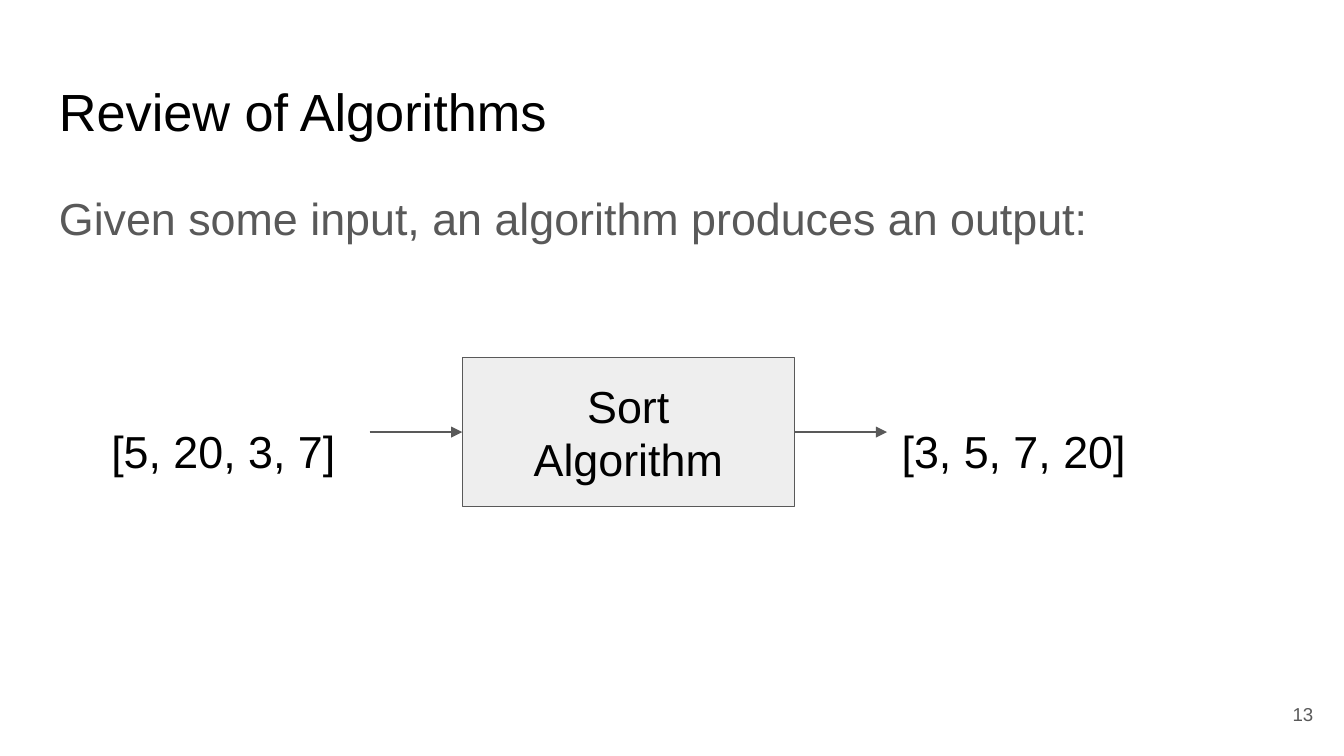
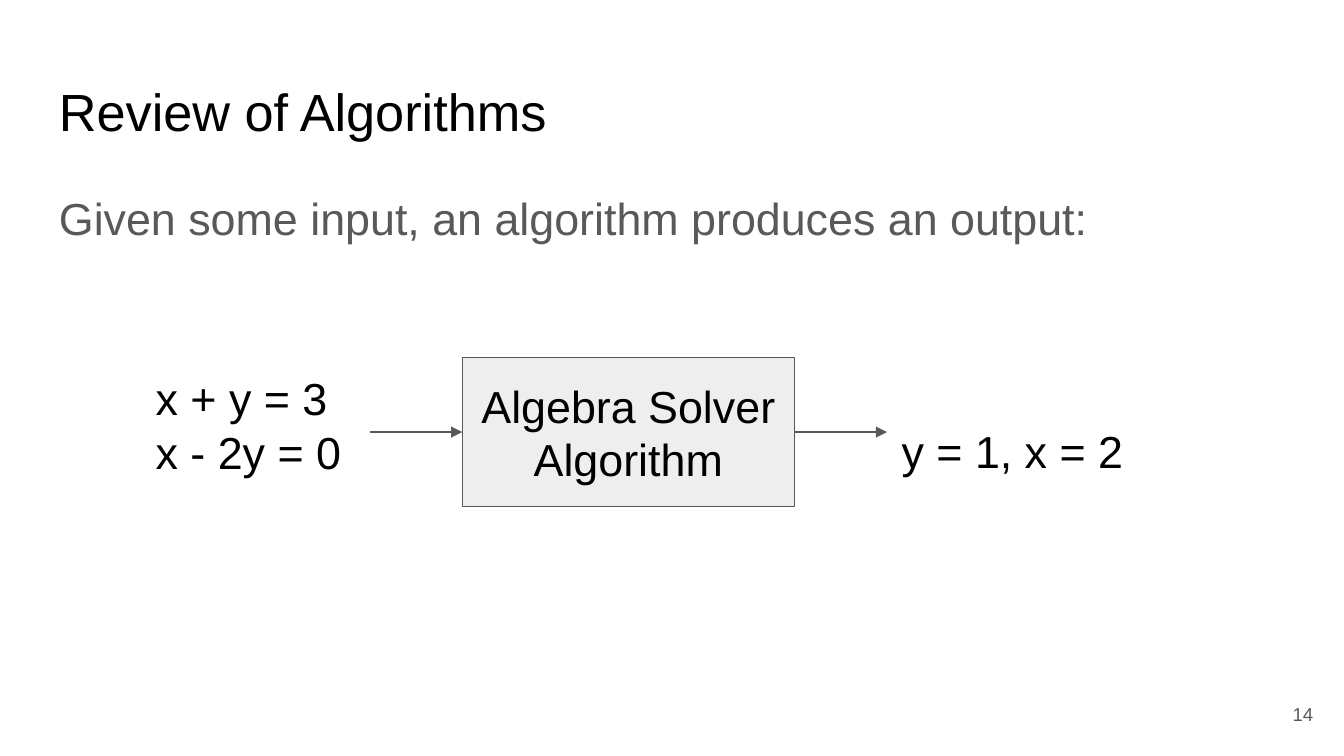
"""Build two slides that show an algorithm as a box between its input and output."""
from dataclasses import dataclass

from lxml import etree
from pptx import Presentation
from pptx import util as u
from pptx.dml.color import RGBColor
from pptx.enum import shapes, text
from pptx.oxml import ns

TITLE = "Review of Algorithms"
LEAD = "Given some input, an algorithm produces an output:"
LOOSE = (1.15, 16)
TIGHT = (1, 0)
SLIDES = [
    {"page": 13, "input": ["[5, 20, 3, 7]"], "at": (0.73, 2.88, 2.02, 0.89),
     "gap": LOOSE, "step": ["Sort", "Algorithm"], "output": ["[3, 5, 7, 20]"]},
    {"page": 14, "input": ["x + y = 3", "x - 2y = 0"], "at": (1.06, 2.55, 2.02, 1.22),
     "gap": TIGHT, "step": ["Algebra Solver Algorithm"], "output": ["y = 1, x = 2"]},
]
BOX = (3.44, 2.66, 2.47, 1.11)
REACH = 0.69


@dataclass(frozen=True)
class Theme:
    font: str = "Arial"
    ink: str = "000000"
    gray: str = "595959"
    fill: str = "EEEEEE"
    paper: str = "FFFFFF"
    title: int = 28
    body: int = 24
    page: int = 10
    line: float = 0.75


T = Theme()
LEFT, MID, RIGHT = text.PP_ALIGN.LEFT, text.PP_ALIGN.CENTER, text.PP_ALIGN.RIGHT
TOP, CENTER = text.MSO_ANCHOR.TOP, text.MSO_ANCHOR.MIDDLE


def rgb(code):
    return RGBColor.from_string(code)


def write(shape, lines, size=T.body, color=T.ink, align=LEFT, anchor=CENTER, gap=TIGHT):
    frame = shape.text_frame
    frame.word_wrap = True
    frame.vertical_anchor = anchor
    frame.margin_left = frame.margin_right = u.Inches(0.1)
    frame.margin_top = frame.margin_bottom = u.Inches(0.1)
    for i, line in enumerate(lines):
        para = frame.add_paragraph() if i else frame.paragraphs[0]
        para.alignment = align
        para.line_spacing, para.space_after = gap[0], u.Pt(gap[1])
        run = para.add_run()
        run.text = line
        run.font.name, run.font.size = T.font, u.Pt(size)
        run.font.color.rgb = rgb(color)


def label(slide, at, lines, **style):
    write(slide.shapes.add_textbox(*map(u.Inches, at)), lines, **style)


def edge(line):
    line.color.rgb = rgb(T.gray)
    line.width = u.Pt(T.line)


def block(slide, lines):
    box = slide.shapes.add_shape(shapes.MSO_SHAPE.RECTANGLE, *map(u.Inches, BOX))
    box.shadow.inherit = False
    box.fill.solid()
    box.fill.fore_color.rgb = rgb(T.fill)
    edge(box.line)
    write(box, lines, align=MID)
    return box


def arrow(slide, start, end):
    y = BOX[1] + BOX[3] / 2
    link = slide.shapes.add_connector(
        shapes.MSO_CONNECTOR.STRAIGHT, *map(u.Inches, (start, y, end, y)))
    edge(link.line)
    props = link._element.spPr
    etree.SubElement(props.get_or_add_ln(), ns.qn("a:tailEnd"), type="triangle")
    etree.SubElement(props, ns.qn("a:effectLst"))
    return link


def build(deck, data):
    slide = deck.slides.add_slide(deck.slide_layouts[6])
    slide.background.fill.solid()
    slide.background.fill.fore_color.rgb = rgb(T.paper)
    label(slide, (0.34, 0.49, 9.32, 0.63), [TITLE], size=T.title, anchor=TOP)
    label(slide, (0.34, 1.26, 9.32, 0.74), [LEAD], color=T.gray, anchor=TOP, gap=LOOSE)
    box = block(slide, data["step"])
    left, right = BOX[0], BOX[0] + BOX[2]
    arrow(slide, left - REACH, left).end_connect(box, 1)
    label(slide, data["at"], data["input"], gap=data["gap"])
    arrow(slide, right, right + REACH).begin_connect(box, 3)
    label(slide, (6.61, 2.88, 2.08, 0.89), data["output"], gap=LOOSE)
    label(slide, (9.27, 5.1, 0.6, 0.43), [str(data["page"])],
          size=T.page, color=T.gray, align=RIGHT)


def main():
    deck = Presentation()
    deck.slide_width = u.Inches(10)
    deck.slide_height = deck.slide_width * 9 // 16
    for data in SLIDES:
        build(deck, data)
    deck.save("out.pptx")


if __name__ == "__main__":
    main()
